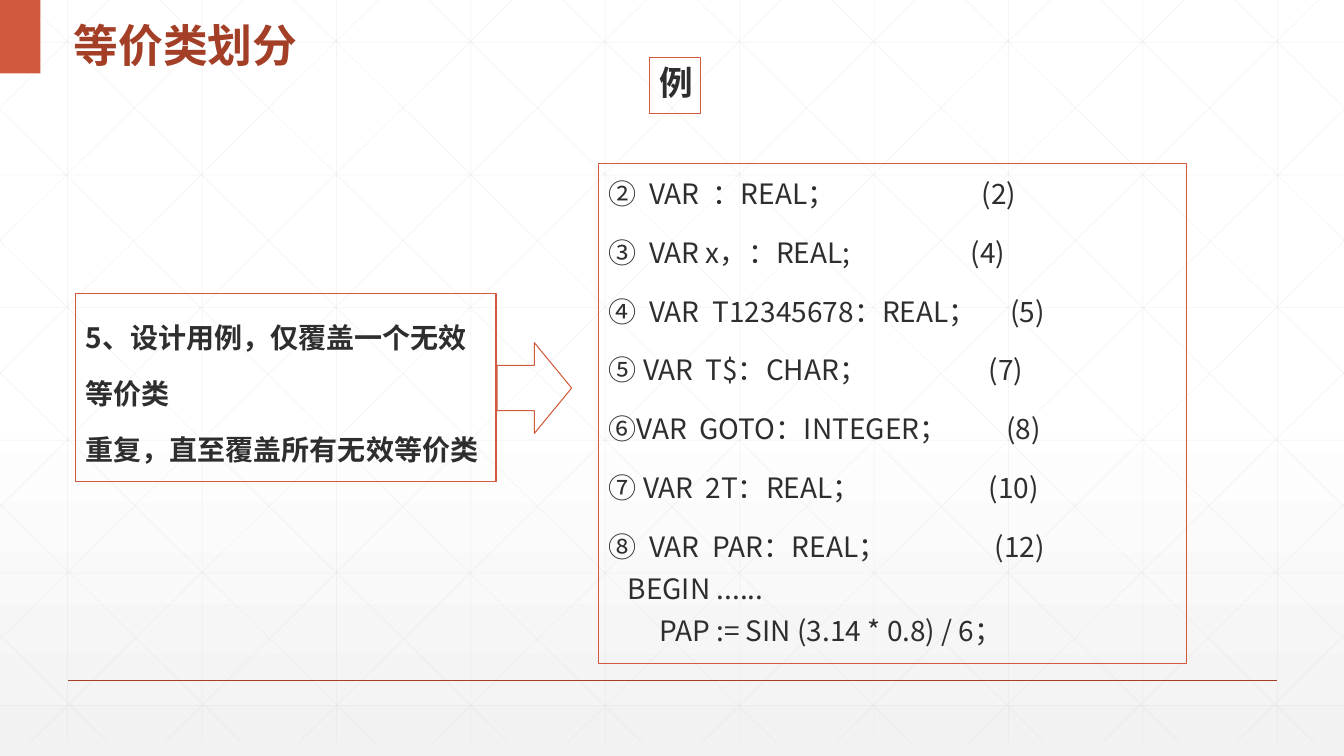
import copy
from dataclasses import dataclass

import lxml.etree
import pptx
import pptx.dml.color
import pptx.enum.shapes
import pptx.enum.text
import pptx.oxml.ns
import pptx.util
from pptx.util import Inches

WIDTH, HEIGHT, GRID_BOTTOM = 13.33, 7.5, 7.37
RUST, ORANGE, INK, GRID = "A43F27", "D15A3E", "2D2E2D", "D9D9D9"
CJK = "Noto Sans CJK SC"
SHAPES = pptx.enum.shapes.MSO_SHAPE
ANCHOR = pptx.enum.text.MSO_ANCHOR
qn = pptx.oxml.ns.qn


@dataclass
class Line:
    x1: float
    y1: float
    x2: float
    y2: float
    color: str = GRID
    weight: float = 0.5
    opacity: int = 25


@dataclass
class Paragraph:
    text: str
    tabs: tuple[float, ...] = ()


@dataclass
class Style:
    size: float
    bold: bool = True
    color: str = INK
    font: str = CJK
    spacing: object = None
    before: float = 0
    anchor: object = ANCHOR.TOP


@dataclass
class Panel:
    left: float
    top: float
    width: float
    height: float
    paragraphs: list[Paragraph]
    style: Style


def rgb(value: str):
    return pptx.dml.color.RGBColor.from_string(value)


def paint_background(slide) -> None:
    fill = slide.background.fill
    fill.gradient()
    fill.gradient_angle = 270
    start, end = fill.gradient_stops
    start.color.rgb, end.color.rgb = rgb("FFFFFF"), rgb("F2F2F2")
    start.position, end.position = 0, 1
    first = slide.background._cSld.find(".//" + qn("a:gs"))
    middle = copy.deepcopy(first)
    middle.set("pos", "53000")
    first.addnext(middle)


def draw_line(slide, line: Line) -> None:
    connector = slide.shapes.add_connector(
        pptx.enum.shapes.MSO_CONNECTOR.STRAIGHT,
        Inches(line.x1), Inches(line.y1), Inches(line.x2), Inches(line.y2))
    connector.line.color.rgb = rgb(line.color)
    connector.line.width = pptx.util.Pt(line.weight)
    properties = connector._element.spPr
    if line.opacity < 100:
        tint = properties.find(".//" + qn("a:srgbClr"))
        lxml.etree.SubElement(tint, qn("a:alpha"), val=str(line.opacity * 1000))
    lxml.etree.SubElement(properties, qn("a:effectLst"))


def grid_lines() -> list[Line]:
    lines = [Line(x, 0, x, GRID_BOTTOM) for x in (0.67 + i * 4 / 3 for i in range(10))]
    lines += [Line(0, y, WIDTH, y) for y in (0.42 + i * 1.316 for i in range(6))]
    slope = 0.989
    diagonals = []
    for i in range(10):
        x = 0.25 + i * 4 / 3
        end = min(WIDTH, x + GRID_BOTTOM / slope)
        diagonals.append(Line(x, 0, end, (end - x) * slope))
    diagonals += [Line(6.37 - i * 1.323, GRID_BOTTOM, 0, 1.09 + i * 1.303) for i in range(5)]
    mirrored = [Line(WIDTH - d.x1, d.y1, WIDTH - d.x2, d.y2) for d in diagonals]
    return lines + diagonals + mirrored


def write_text(shape, paragraphs: list[Paragraph], style: Style) -> None:
    frame = shape.text_frame
    frame.word_wrap = True
    frame.vertical_anchor = style.anchor
    for index, content in enumerate(paragraphs):
        paragraph = frame.add_paragraph() if index else frame.paragraphs[0]
        paragraph.text = content.text
        paragraph.alignment = pptx.enum.text.PP_ALIGN.LEFT
        if style.spacing:
            paragraph.line_spacing = style.spacing
        if index and style.before:
            paragraph.space_before = pptx.util.Pt(style.before)
        if content.tabs:
            stops = lxml.etree.SubElement(paragraph._p.get_or_add_pPr(), qn("a:tabLst"))
            for tab in content.tabs:
                lxml.etree.SubElement(stops, qn("a:tab"), pos=str(Inches(tab)), algn="l")
        font = paragraph.font
        font.name, font.bold = style.font, style.bold
        font.size = pptx.util.Pt(style.size)
        font.color.rgb = rgb(style.color)
        defaults = paragraph._p.pPr.find(qn("a:defRPr"))
        lxml.etree.SubElement(defaults, qn("a:ea"), typeface=CJK)


def draw_shape(slide, kind, left: float, top: float, width: float, height: float,
               fill: str = "", outline: str = ""):
    shape = slide.shapes.add_shape(
        kind, Inches(left), Inches(top), Inches(width), Inches(height))
    shape.shadow.inherit = False
    if fill:
        shape.fill.solid()
        shape.fill.fore_color.rgb = rgb(fill)
    else:
        shape.fill.background()
    if outline:
        shape.line.color.rgb = rgb(outline)
        shape.line.width = pptx.util.Pt(0.75)
    else:
        shape.line.fill.background()
    return shape


def draw_panel(slide, panel: Panel) -> None:
    shape = draw_shape(slide, SHAPES.RECTANGLE, panel.left, panel.top,
                       panel.width, panel.height, outline=ORANGE)
    write_text(shape, panel.paragraphs, panel.style)


TITLE_STYLE = Style(32, color=RUST, font="Arial", spacing=1.3, anchor=ANCHOR.MIDDLE)
PANELS = [
    Panel(6.44, 0.57, 0.51, 0.56, [Paragraph("例")], Style(24)),
    Panel(0.75, 2.91, 4.17, 1.87, [
        Paragraph("5、设计用例，仅覆盖一个无效等价类"),
        Paragraph("重复，直至覆盖所有无效等价类"),
    ], Style(20, spacing=pptx.util.Pt(40))),
    Panel(5.94, 1.62, 5.83, 4.96, [
        Paragraph("②\tVAR\t：REAL；\t(2)", (0.4, 1.03, 3.7)),
        Paragraph("③\tVAR x，：REAL;\t(4)", (0.4, 3.59)),
        Paragraph("④\tVAR\tT12345678：REAL；\t(5)", (0.4, 1.03, 3.98)),
        Paragraph("⑤ VAR\tT$：CHAR；\t(7)", (0.96, 3.77)),
        Paragraph("⑥VAR\tGOTO：INTEGER；\t(8)", (0.9, 3.94)),
        Paragraph("⑦ VAR\t2T：REAL；\t(10)", (0.96, 3.77)),
        Paragraph("⑧\tVAR\tPAR：REAL；\t(12)\v   BEGIN ......\v"
                  "        PAP := SIN (3.14 * 0.8) / 6；", (0.4, 1.03, 3.83)),
    ], Style(20, bold=False, spacing=pptx.util.Pt(30), before=12)),
]


def main() -> None:
    deck = pptx.Presentation()
    deck.slide_width, deck.slide_height = Inches(WIDTH), Inches(HEIGHT)
    slide = deck.slides.add_slide(deck.slide_layouts[6])
    paint_background(slide)
    for line in grid_lines():
        draw_line(slide, line)
    draw_line(slide, Line(0.67, 6.75, 12.67, 6.75, RUST, 1, 100))
    draw_shape(slide, SHAPES.RECTANGLE, 0, 0, 0.4, 0.73, fill=ORANGE)
    title = slide.shapes.add_textbox(Inches(0.63), Inches(0), Inches(5.69), Inches(0.73))
    write_text(title, [Paragraph("等价类划分")], TITLE_STYLE)
    for panel in PANELS:
        draw_panel(slide, panel)
    draw_shape(slide, SHAPES.RIGHT_ARROW, 4.93, 3.4, 0.74, 0.9, outline=ORANGE)
    deck.save("out.pptx")


if __name__ == "__main__":
    main()
